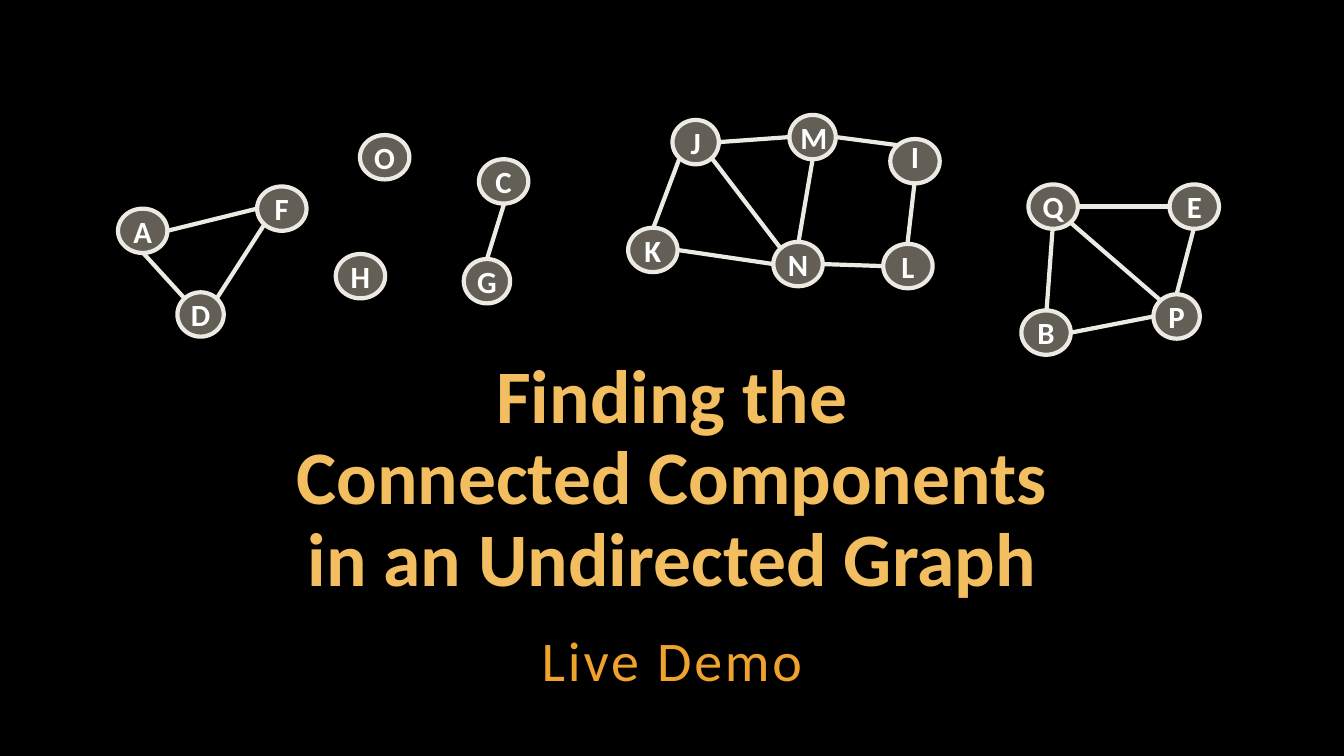
from math import cos, radians, sin
from pptx import Presentation
from pptx.dml.color import RGBColor
from pptx.enum.shapes import MSO_CONNECTOR, MSO_SHAPE
from pptx.enum.text import MSO_ANCHOR, MSO_AUTO_SIZE, PP_ALIGN
from pptx.oxml.ns import qn
from pptx.util import Inches, Pt
from lxml.etree import SubElement

BLACK = RGBColor(0x00, 0x00, 0x00)
WHITE = RGBColor(0xFF, 0xFF, 0xFF)
GOLD = RGBColor(0xF3, 0xBE, 0x60)
ORANGE = RGBColor(0xF0, 0xA2, 0x2E)
STONE = RGBColor(0xC7, 0xBF, 0xAC)
CREAM = RGBColor(0xEC, 0xEA, 0xE3)

deck = Presentation()
deck.slide_width, deck.slide_height = Inches(13.33), Inches(7.5)
slide = deck.slides.add_slide(deck.slide_layouts[1])
slide.background.fill.solid()
slide.background.fill.fore_color.rgb = BLACK


def write(frame, text, size, color, bold, pad):
    frame.text = text
    frame.word_wrap = True
    frame.margin_left = frame.margin_right = Inches(0.04)
    frame.margin_top = frame.margin_bottom = Inches(pad)
    para = frame.paragraphs[0]
    para.alignment = PP_ALIGN.CENTER
    para.space_before = Pt(0)
    for run in para.runs:
        run.font.name, run.font.size = "Calibri", Pt(size)
        run.font.bold, run.font.color.rgb = bold, color
    return para


# Title and subtitle
title, body = slide.placeholders
for holder, top, height in ((title, 3.49, 2.53), (body, 6.13, 0.79)):
    holder.left, holder.top = Inches(1), Inches(top)
    holder.width, holder.height = Inches(11.33), Inches(height)
    holder.text_frame.auto_size = MSO_AUTO_SIZE.NONE

para = write(title.text_frame, "Finding the\vConnected Components\vin an Undirected Graph",
             54, GOLD, True, 0.04)
para.line_spacing = 0.9
title.text_frame.vertical_anchor = MSO_ANCHOR.BOTTOM

para = write(body.text_frame, "Live Demo", 40, ORANGE, False, 0.04)
para.line_spacing, para.space_after = 1.05, Pt(6)
body.text_frame.vertical_anchor = MSO_ANCHOR.TOP
props = para._p.get_or_add_pPr()
props.set("marL", "0")
props.set("indent", "0")
SubElement(props, qn("a:buNone"))
para.runs[0].font._element.set("spc", "200")

# Graph nodes: left, top, width
TALL = 0.44
nodes = {
    "F": (2.55, 1.85, 0.49), "D": (1.76, 2.9, 0.46), "A": (1.17, 2.07, 0.49),
    "G": (4.6, 2.57, 0.46), "C": (4.75, 1.58, 0.49), "H": (3.33, 2.52, 0.49),
    "N": (7.67, 2.4, 0.49), "J": (6.67, 1.19, 0.46), "K": (6.23, 2.26, 0.49),
    "M": (7.83, 1.14, 0.46), "L": (8.76, 2.42, 0.49), "I": (8.83, 1.38, 0.49),
    "Q": (10.2, 1.83, 0.49), "P": (11.44, 2.92, 0.46), "E": (11.6, 1.83, 0.49),
    "B": (10.13, 3.08, 0.49), "O": (3.57, 1.34, 0.49),
}
for name, (left, top, width) in nodes.items():
    node = slide.shapes.add_shape(MSO_SHAPE.OVAL, Inches(left), Inches(top),
                                  Inches(width), Inches(TALL))
    node.shadow.inherit = False
    node.fill.solid()
    node.fill.fore_color.rgb = STONE
    tint = node.fill._xPr.find(qn("a:solidFill"))[0]
    SubElement(tint, qn("a:alpha"), val="50000")
    node.line.color.rgb, node.line.width = CREAM, Pt(3)
    write(node.text_frame, name, 22, WHITE, True, 0.05)
    node.text_frame.vertical_anchor = MSO_ANCHOR.MIDDLE
    if name == "I":
        node._element.spPr.find(qn("a:xfrm")).set("flipV", "1")


# Graph edges run between compass points on the node rims
ANGLES = {"E": 0, "SE": 45, "S": 90, "SW": 135, "W": 180, "NW": 225, "N": 270, "NE": 315}


def rim(name, side):
    left, top, width = nodes[name]
    turn = radians(ANGLES[side])
    return (Inches(round(left + width / 2 * (1 + cos(turn)), 2)),
            Inches(round(top + TALL / 2 * (1 + sin(turn)), 2)))


edges = [
    ("F", "SW", "D", "NE"), ("A", "E", "F", "W"), ("D", "NW", "A", "S"),
    ("G", "N", "C", "S"),
    ("N", "NW", "J", "SE"), ("K", "E", "N", "W"), ("J", "SW", "K", "N"),
    ("I", "S", "L", "N"), ("N", "E", "L", "W"), ("N", "N", "M", "S"),
    ("J", "E", "M", "W"), ("I", "NW", "M", "E"),
    ("Q", "S", "B", "N"), ("P", "N", "E", "S"), ("Q", "E", "E", "W"),
    ("Q", "SE", "P", "NW"), ("B", "E", "P", "W"),
]
for start, leave, end, enter in edges:
    edge = slide.shapes.add_connector(MSO_CONNECTOR.STRAIGHT,
                                      *rim(start, leave), *rim(end, enter))
    edge.line.color.rgb, edge.line.width = CREAM, Pt(3)
    SubElement(edge._element.spPr, qn("a:effectLst"))

deck.save("out.pptx")
